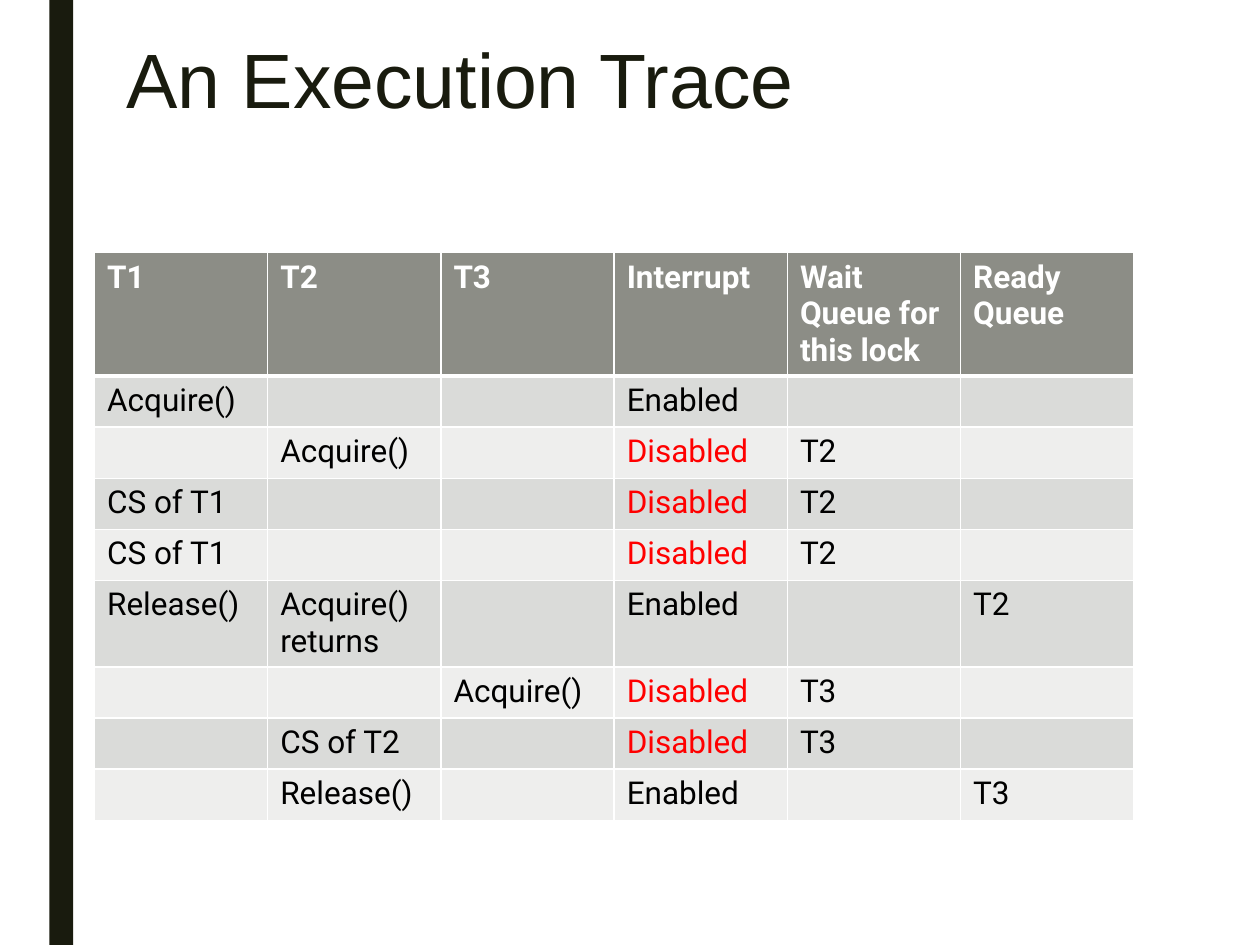
from typing import NamedTuple

from lxml import etree
from pptx import Presentation
from pptx.dml.color import RGBColor
from pptx.enum.shapes import MSO_SHAPE
from pptx.enum.text import MSO_ANCHOR, MSO_AUTO_SIZE, PP_ALIGN
from pptx.oxml.ns import qn
from pptx.util import Pt

RECTANGLE = MSO_SHAPE.RECTANGLE
TOP = MSO_ANCHOR.TOP
LEFT = PP_ALIGN.LEFT
NO_AUTOFIT = MSO_AUTO_SIZE.NONE

COLORS = {
    "dark": "191B0E",
    "header": "8C8D86",
    "odd": "DADBD9",
    "even": "EEEEED",
    "white": "FFFFFF",
    "black": "000000",
    "red": "FF0000",
}
TITLE_ONLY_LAYOUT = 5
COLUMN_WIDTH = 99
HEADINGS = ("T1", "T2", "T3", "Interrupt", "Wait Queue for this lock", "Ready Queue")
HEADER_HEIGHT = 70


class Step(NamedTuple):
    t1: str = ""
    t2: str = ""
    t3: str = ""
    interrupt: str = "Enabled"
    wait_queue: str = ""
    ready_queue: str = ""


STEPS = (
    Step(t1="Acquire()"),
    Step(t2="Acquire()", interrupt="Disabled", wait_queue="T2"),
    Step(t1="CS of T1", interrupt="Disabled", wait_queue="T2"),
    Step(t1="CS of T1", interrupt="Disabled", wait_queue="T2"),
    Step(t1="Release()", t2="Acquire() returns", ready_queue="T2"),
    Step(t3="Acquire()", interrupt="Disabled", wait_queue="T3"),
    Step(t2="CS of T2", interrupt="Disabled", wait_queue="T3"),
    Step(t2="Release()", ready_queue="T3"),
)
STEP_HEIGHTS = (29.2, 29.2, 29.2, 29.2, 49.4, 28.8, 28.8, 29)


def color(name: str) -> RGBColor:
    return RGBColor.from_string(COLORS[name])


def write(text_frame, text: str, *, font: str, size: float, ink: str,
          bold: bool = False, line_spacing: float | None = None) -> None:
    paragraph = text_frame.paragraphs[0]
    paragraph.alignment = LEFT
    paragraph.line_spacing = line_spacing
    run = paragraph.add_run()
    run.text = text
    run.font.name = font
    run.font.size = Pt(size)
    run.font.bold = bold
    run.font.color.rgb = color(ink)


def set_borders(cell, widths: dict[str, float]) -> None:
    properties = cell._tc.get_or_add_tcPr()
    for index, (side, width) in enumerate(widths.items()):
        line = etree.Element(qn(f"a:ln{side}"), w=str(Pt(width)))
        fill = etree.SubElement(line, qn("a:solidFill"))
        etree.SubElement(fill, qn("a:srgbClr"), val=COLORS["white"])
        properties.insert(index, line)


def draw_row(table, row: int, texts: tuple[str, ...], height: float) -> None:
    is_header = row == 0
    fill = "header" if is_header else "odd" if row % 2 else "even"
    table.rows[row].height = Pt(height)
    for column, text in enumerate(texts):
        cell = table.cell(row, column)
        cell.fill.solid()
        cell.fill.fore_color.rgb = color(fill)
        set_borders(cell, {"L": 1, "R": 1, "T": 3 if row == 1 else 1,
                           "B": 3 if is_header else 1})
        if text:
            ink = "white" if is_header else "red" if text == "Disabled" else "black"
            write(cell.text_frame, text, font="Roboto", size=18, ink=ink, bold=is_header)


def main() -> None:
    presentation = Presentation()
    presentation.slide_width, presentation.slide_height = Pt(720), Pt(540)
    slide = presentation.slides.add_slide(presentation.slide_layouts[TITLE_ONLY_LAYOUT])

    # Vertical bar
    bar = slide.shapes.add_shape(RECTANGLE, Pt(28.2), Pt(0), Pt(13.6), Pt(540))
    bar.shadow.inherit = False
    bar.fill.solid()
    bar.fill.fore_color.rgb = color("dark")
    bar.line.fill.background()

    # Title
    title = slide.shapes.title
    title.left, title.top, title.width, title.height = Pt(65), Pt(21), Pt(594), Pt(69)
    title.text_frame.vertical_anchor = TOP
    title.text_frame.auto_size = NO_AUTOFIT
    write(title.text_frame, "An Execution Trace", font="Arial", size=44, ink="dark",
          line_spacing=0.89)

    # Trace table
    rows = (HEADINGS, *STEPS)
    heights = (HEADER_HEIGHT, *STEP_HEIGHTS)
    table = slide.shapes.add_table(len(rows), len(HEADINGS), Pt(54), Pt(144.3),
                                   Pt(COLUMN_WIDTH * len(HEADINGS)),
                                   Pt(sum(heights))).table
    for column in table.columns:
        column.width = Pt(COLUMN_WIDTH)
    for row, (texts, height) in enumerate(zip(rows, heights)):
        draw_row(table, row, texts, height)

    presentation.save("out.pptx")


if __name__ == "__main__":
    main()
